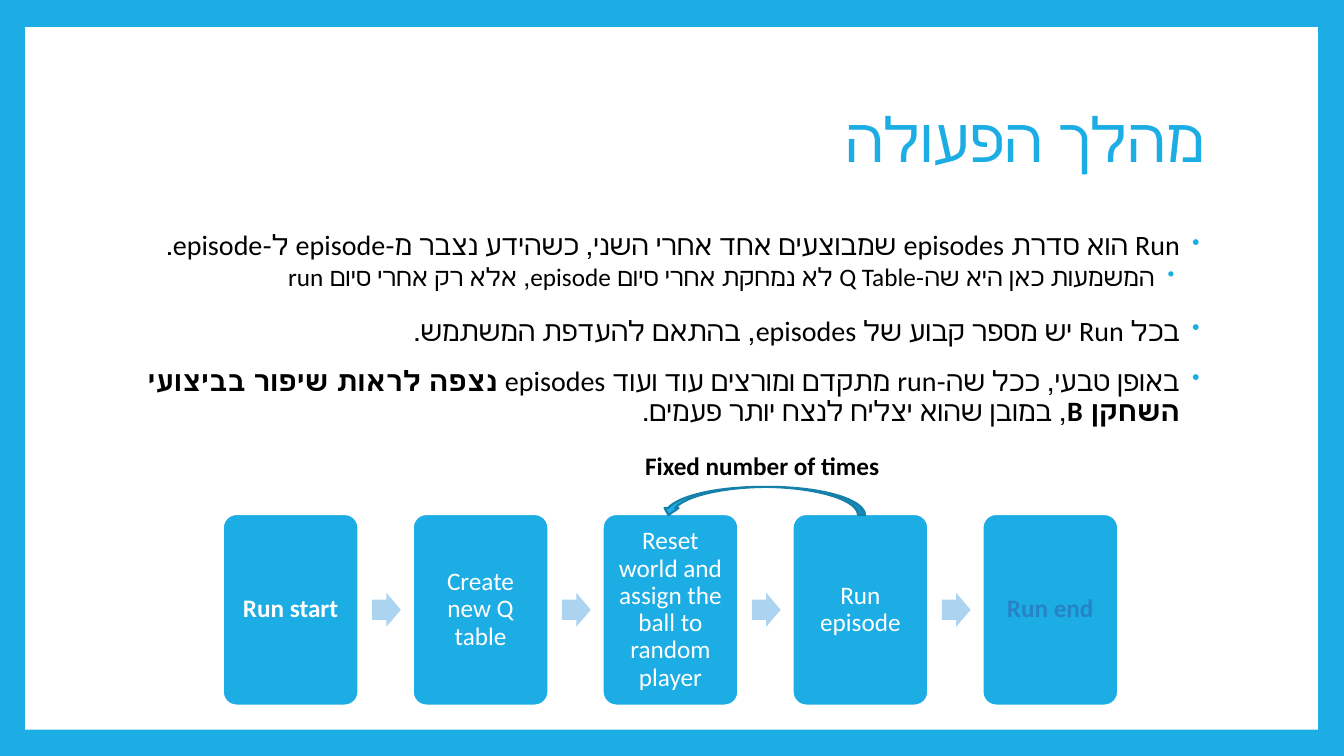
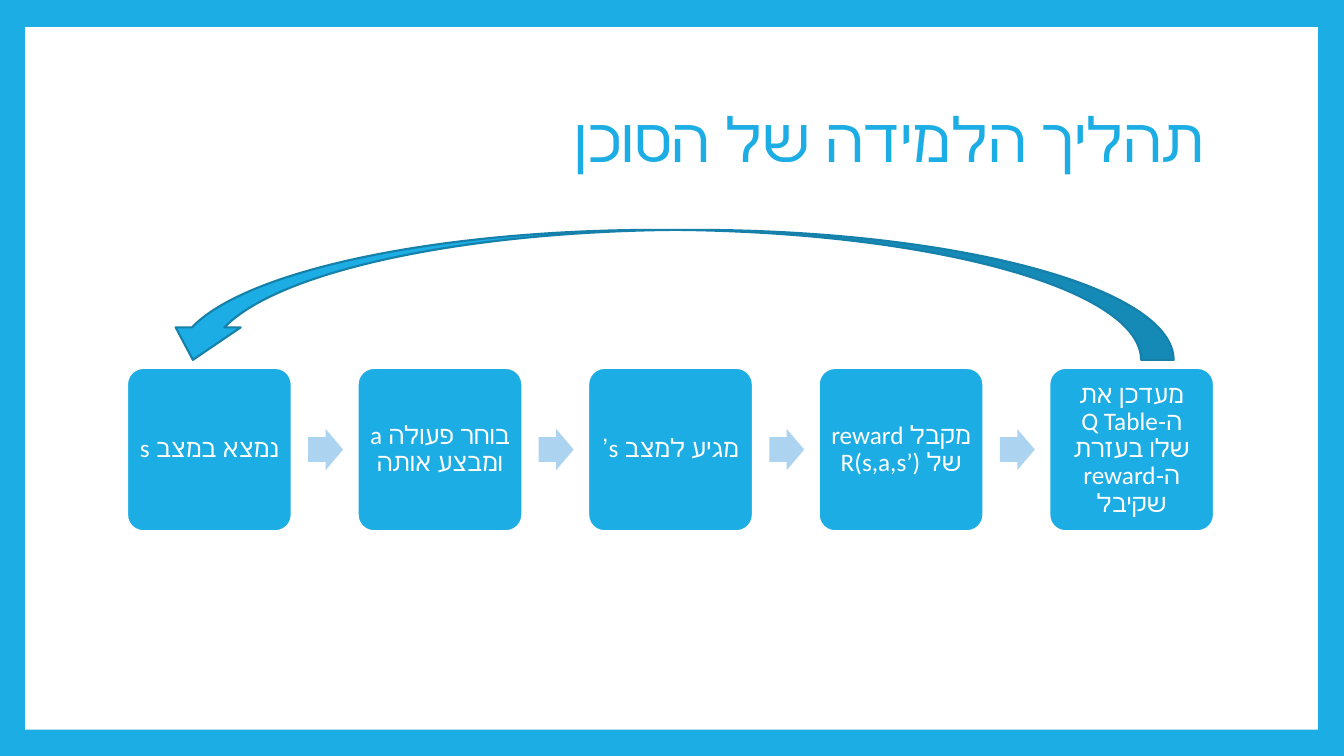
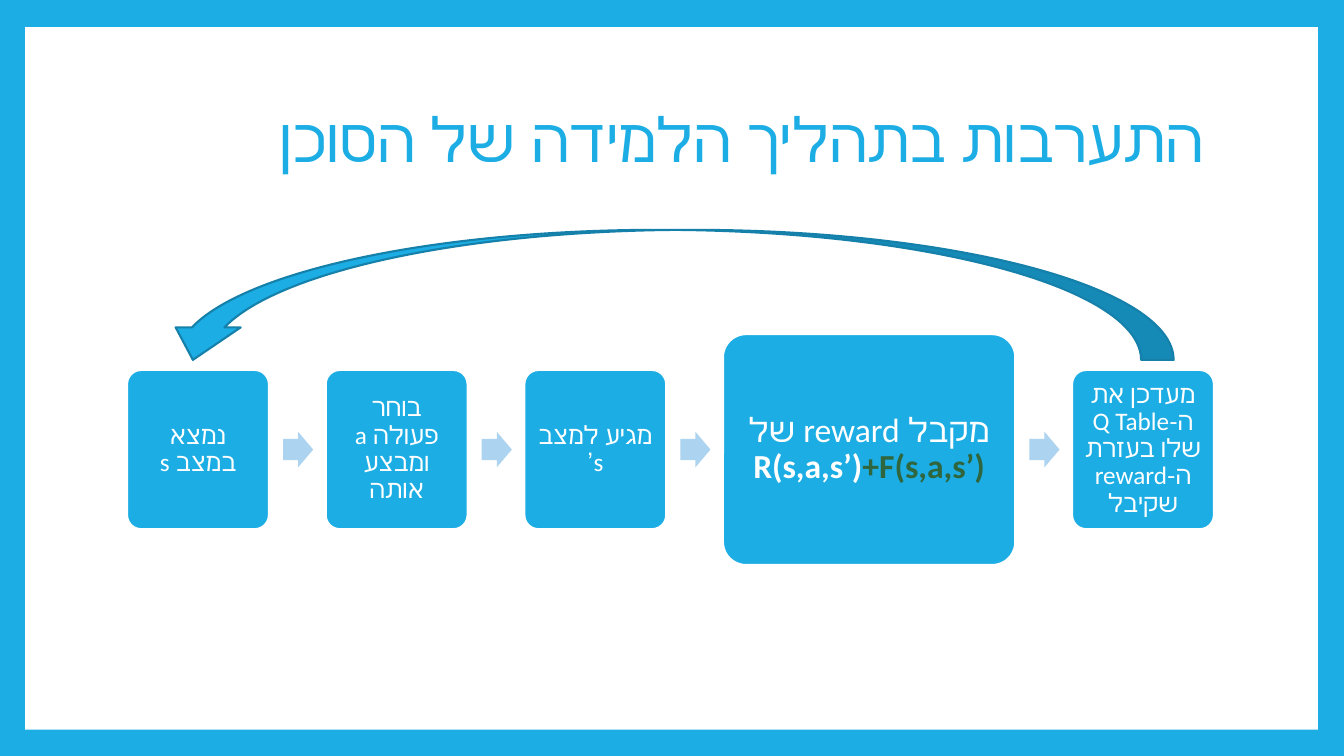
from lxml import etree
from pptx import Presentation
from pptx.dml.color import RGBColor
from pptx.enum import shapes, text
from pptx.oxml.ns import qn
from pptx.util import Inches, Pt

BLUE = RGBColor(0x1C, 0xAD, 0xE4)
DARK_BLUE = RGBColor(0x15, 0x80, 0xA9)
PALE_BLUE = RGBColor(0xAC, 0xD3, 0xEF)
MUTED_BLUE = RGBColor(0x26, 0x83, 0xC6)
GREEN = RGBColor(0x2F, 0x66, 0x3E)
WHITE = RGBColor(0xFF, 0xFF, 0xFF)
BLACK = RGBColor(0, 0, 0)
FONT = "Calibri"
SHAPE = shapes.MSO_SHAPE
ALIGN = text.PP_ALIGN
MIDDLE = text.MSO_ANCHOR.MIDDLE

BULLETS = [
    (0, 14, 0, [("Run הוא סדרת episodes שמבוצעים אחד אחרי השני, כשהידע נצבר מ-episode ל-episode.", {})]),
    (1, 2, 4, [("המשמעות כאן היא שה-Q Table לא נמחקת אחרי סיום episode, אלא רק אחרי סיום run", {})]),
    (0, 14, 0, [("בכל Run יש מספר קבוע של episodes, בהתאם להעדפת המשתמש.", {})]),
    (0, 14, 0, [("באופן טבעי, ככל שה-run מתקדם ומורצים עוד ועוד episodes ", {}),
                ("נצפה לראות שיפור בביצועי השחקן B", {"bold": True}),
                (", במובן שהוא יצליח לנצח יותר פעמים.", {})]),
]
RUN_STEPS = [
    [("Run start", {"bold": True})],
    [("Create new Q table", {})],
    [("Reset world and assign the ball to random player", {})],
    [("Run episode", {})],
    [("Run end", {"bold": True, "color": MUTED_BLUE})],
]
LEARNING_STEPS = [
    [("נמצא במצב s", {})],
    [("בוחר פעולה a ומבצע אותה", {})],
    [("מגיע למצב s’", {})],
    [("מקבל reward של R(s,a,s’)", {})],
    [("מעדכן את ה-Q Table שלו בעזרת ה-reward שקיבל", {})],
]
SHAPED_REWARD = [
    ("מקבל reward של ", {"size": 24}),
    ("R(s,a,s’)", {"size": 24, "bold": True}),
    ("+F(s,a,s’)", {"size": 24, "bold": True, "color": GREEN}),
]


def write(p, content, size=18, color=BLACK, bold=False):
    """Add one formatted run to a paragraph."""
    r = p.add_run()
    r.text = content
    r.font.name, r.font.size, r.font.bold = FONT, Pt(size), bold
    r.font.color.rgb = color


def set_paragraph(p, align, rtl=False, before=0, after=0):
    """Set the alignment, direction and spacing of a paragraph."""
    p.alignment, p.line_spacing = align, 0.9
    p.space_before, p.space_after = Pt(before), Pt(after)
    p._p.get_or_add_pPr().set("rtl", str(int(rtl)))


def set_bullet(p, level):
    """Give a paragraph a small blue bullet with a hanging indent."""
    pPr = p._p.get_or_add_pPr()
    pPr.set("marL", str(Inches(0.25 * (level + 1))))
    pPr.set("marR", "0")
    pPr.set("indent", str(Inches(-0.2)))
    color = etree.SubElement(pPr, qn("a:buClr"))
    etree.SubElement(color, qn("a:srgbClr"), val=str(BLUE))
    etree.SubElement(pPr, qn("a:buSzPct"), val="80000")
    etree.SubElement(pPr, qn("a:buChar"), char="•")


def add_box(s, kind, left, top, width, height, fill, line=None):
    """Add a flat preset shape, outlined when a line colour is given."""
    sp = s.shapes.add_shape(kind, Inches(left), Inches(top), Inches(width), Inches(height))
    sp.shadow.inherit = False
    sp.fill.solid()
    sp.fill.fore_color.rgb = fill
    if line is None:
        sp.line.fill.background()
    else:
        sp.line.color.rgb, sp.line.width = line, Pt(1.5)
    return sp


def set_layout(layout, s):
    """Give the layout its blue frame and white panel."""
    layout.background.fill.solid()
    layout.background.fill.fore_color.rgb = BLUE
    panel = add_box(s, SHAPE.RECTANGLE, 0.25, 0.27, 12.82, 6.97, WHITE)
    layout.shapes.element.insert(2, panel.element)


def add_title(s, title):
    """Place and format the slide title."""
    sp = s.shapes.title
    sp.left, sp.top, sp.width, sp.height = map(Inches, (1.25, 0.67, 10.8, 1.48))
    tf = sp.text_frame
    tf.word_wrap, tf.vertical_anchor = True, MIDDLE
    set_paragraph(tf.paragraphs[0], ALIGN.RIGHT, rtl=True)
    write(tf.paragraphs[0], title, size=44, color=BLUE)


def add_bullets(s, bullets, left, top, width, height):
    """Add a right-to-left bullet list."""
    tf = s.shapes.add_textbox(Inches(left), Inches(top), Inches(width), Inches(height)).text_frame
    tf.word_wrap = True
    for i, (level, before, after, runs) in enumerate(bullets):
        p = tf.add_paragraph() if i else tf.paragraphs[0]
        set_paragraph(p, ALIGN.RIGHT, True, before, after)
        p.level = level
        set_bullet(p, level)
        for content, style in runs:
            write(p, content, size=20 - 2 * level, **style)


def add_step(s, runs, left, top, width, height, margin, rtl):
    """Add one rounded step with its text."""
    sp = add_box(s, SHAPE.ROUNDED_RECTANGLE, left, top, width, height, BLUE, WHITE)
    sp.adjustments[0] = 0.1
    tf = sp.text_frame
    tf.word_wrap, tf.vertical_anchor = True, MIDDLE
    tf.margin_left = tf.margin_right = tf.margin_top = tf.margin_bottom = Inches(margin)
    set_paragraph(tf.paragraphs[0], ALIGN.CENTER, rtl)
    for content, style in runs:
        write(tf.paragraphs[0], content, **{"color": WHITE, **style})


def add_flow(s, steps, left, middle, width, height, rtl=True, large=None):
    """Spread steps and arrows over a width, optionally enlarging one step."""
    scales = [2.06 if i == large else 1 for i in range(len(steps))]
    unit = width / (sum(scales) + 0.4 * (len(steps) - 1))
    gap, arrow_height = 0.4 * unit, 0.25 * unit
    for i, (runs, scale) in enumerate(zip(steps, scales)):
        tall, margin = (2.29, 0.1) if i == large else (height, 0.07)
        add_step(s, runs, left, middle - tall / 2, unit * scale, tall, margin, rtl)
        left += unit * scale
        if i < len(steps) - 1:
            arrow = add_box(s, SHAPE.RIGHT_ARROW, left + gap / 4, middle - arrow_height / 2,
                            gap * 0.53, arrow_height, PALE_BLUE)
            arrow.adjustments[0] = 0.6
        left += gap


def add_loop(s, left, top, width, height):
    """Add the curved arrow that leads back to an earlier step."""
    add_box(s, SHAPE.CURVED_UP_ARROW, left, top, width, height, BLUE, DARK_BLUE).rotation = 180


def build_run_slide(s):
    """Fill the slide on the course of a run."""
    add_title(s, "מהלך הפעולה")
    add_bullets(s, BULLETS, 1.25, 2.25, 10.8, 2.22)
    add_flow(s, RUN_STEPS, 2.21, 6.05, 8.88, 1.9, rtl=False)
    add_loop(s, 6.56, 4.83, 2.02, 0.28)
    tf = s.shapes.add_textbox(Inches(6.3), Inches(4.42), Inches(2.84), Inches(0.4)).text_frame
    tf.word_wrap = True
    write(tf.paragraphs[0], "Fixed number of times", bold=True)


def build_learning_slide(s, title, steps, height, large=None):
    """Fill a slide on the agent's learning cycle."""
    add_title(s, title)
    add_flow(s, steps, 1.26, 4.46, 10.78, height, large=large)
    add_loop(s, 1.59, 2.28, 10.05, 1.29)


def main():
    """Build and save the presentation."""
    prs = Presentation()
    prs.slide_width, prs.slide_height = Inches(13.33), Inches(7.5)
    layout = prs.slide_layouts[5]
    run, learning, shaping = [prs.slides.add_slide(layout) for _ in range(3)]
    set_layout(layout, run)
    build_run_slide(run)
    build_learning_slide(learning, "תהליך הלמידה של הסוכן", LEARNING_STEPS, 1.62)
    shaped_steps = LEARNING_STEPS[:3] + [SHAPED_REWARD] + LEARNING_STEPS[4:]
    build_learning_slide(shaping, "התערבות בתהליך הלמידה של הסוכן", shaped_steps, 1.58, large=3)
    prs.save("out.pptx")


if __name__ == "__main__":
    main()
